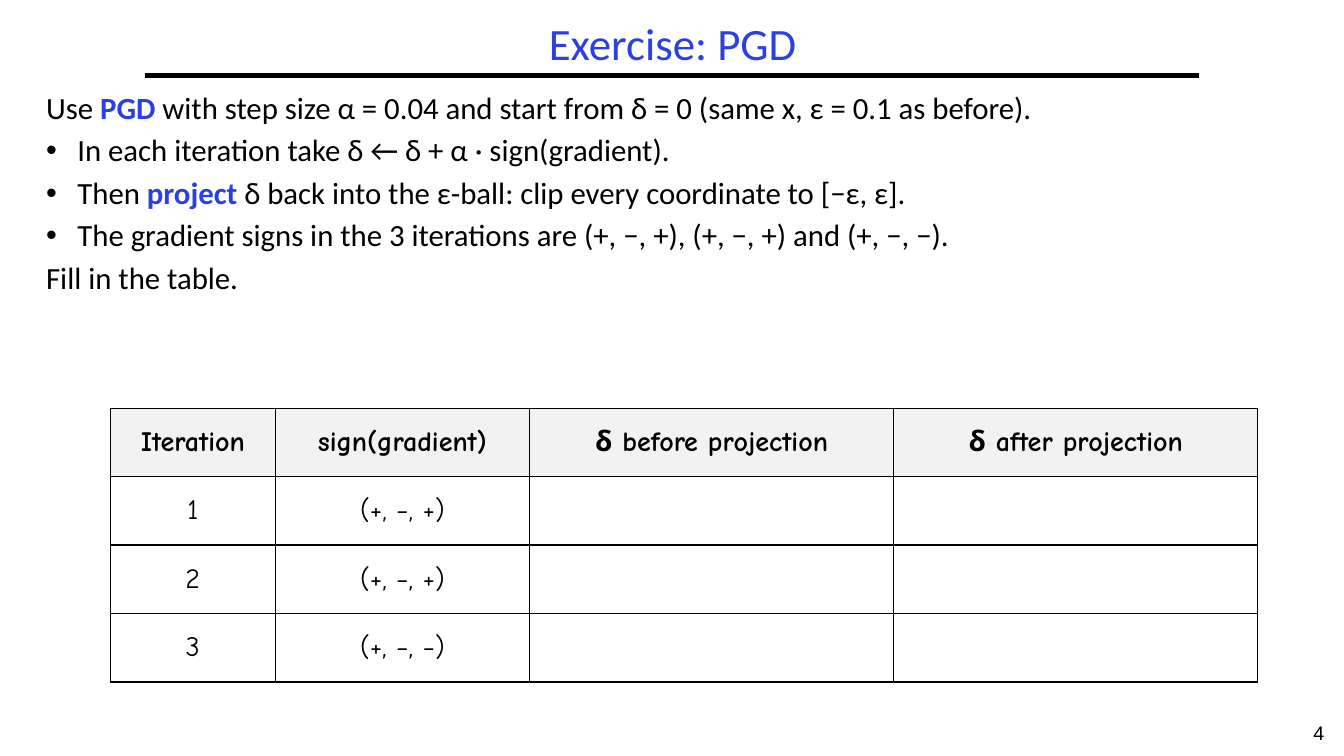
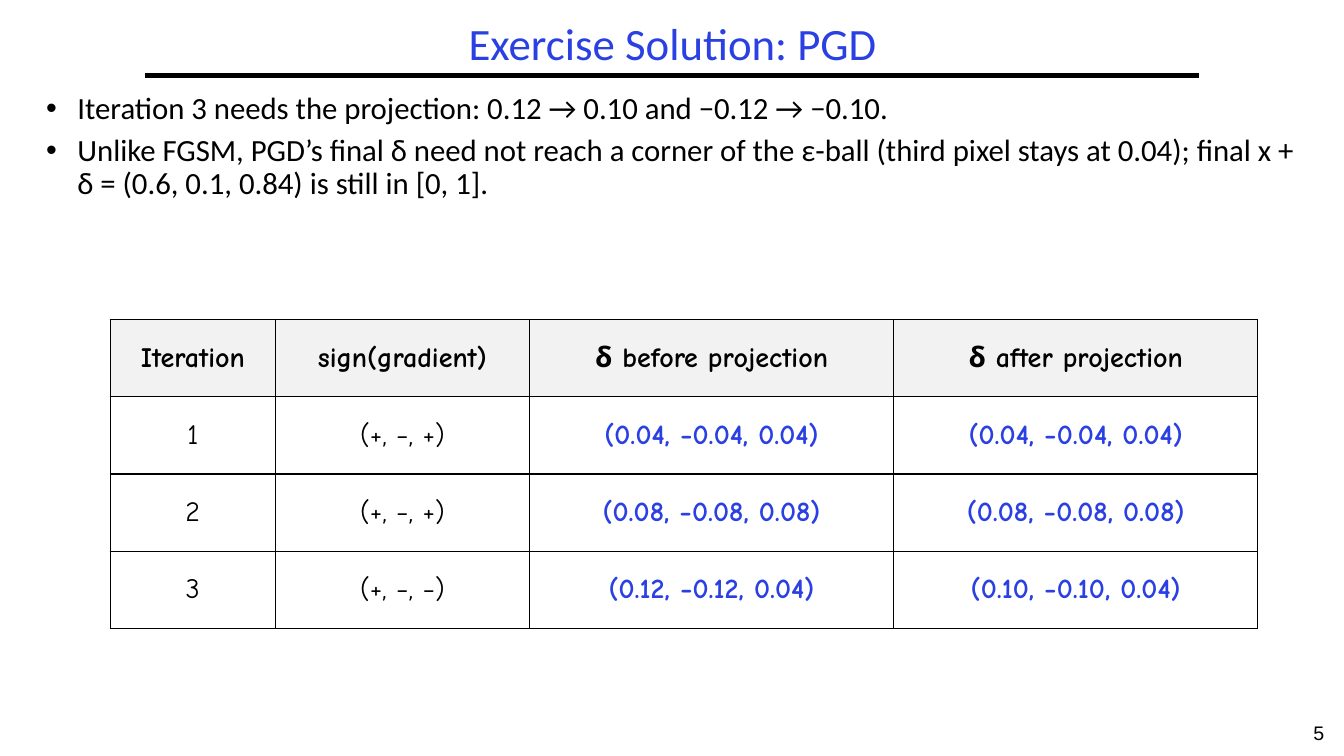
from lxml import etree
from pptx import Presentation
from pptx.dml.color import RGBColor
from pptx.enum.shapes import MSO_CONNECTOR
from pptx.enum.text import MSO_ANCHOR, PP_ALIGN
from pptx.oxml.ns import qn
from pptx.util import Inches, Pt

COLORS = {"ink": "000000", "accent": "2A40E2", "header": "F2F2F2", "paper": "FFFFFF"}
TEXT_FONT, TABLE_FONT, NUMBER_FONT = "Calibri", "Comic Neue", "Arial"
CENTER, LEFT = PP_ALIGN.CENTER, PP_ALIGN.LEFT
TOP, MIDDLE = MSO_ANCHOR.TOP, MSO_ANCHOR.MIDDLE
STRAIGHT = MSO_CONNECTOR.STRAIGHT

# The slide is a grid of 100 columns by 100 rows.
WIDTH, HEIGHT = Inches(13.33), Inches(7.5)
RULE_LEFT, RULE_RIGHT, RULE_ROW = 10.8, 89.2, 10
TABLE_LEFT = 8.2
TABLE_COLUMNS = (12.3, 18.9, 27.1, 27.1)
BULLET_INDENT = Inches(0.31)

HEADINGS = ("Iteration", "sign(gradient)", "δ before projection", "δ after projection")
SIGNS = ("(+, −, +)", "(+, −, +)", "(+, −, −)")
ANSWERS = (
    ("(0.04, −0.04, 0.04)", "(0.04, −0.04, 0.04)"),
    ("(0.08, −0.08, 0.08)", "(0.08, −0.08, 0.08)"),
    ("(0.12, −0.12, 0.04)", "(0.10, −0.10, 0.04)"),
)
BLANKS = (("", ""),) * len(SIGNS)


def across(columns):
    return round(WIDTH * columns / 100)


def down(rows):
    return round(HEIGHT * rows / 100)


def color(name):
    return RGBColor.from_string(COLORS[name])


def write(para, text, size, font=TEXT_FONT, ink="ink", bold=False, align=LEFT):
    """Fill a paragraph; parts between asterisks become bold accents."""
    para.alignment = align
    para.font.size = Pt(size)
    for index, part in enumerate(text.split("*")):
        if not part:
            continue
        marked = index % 2 == 1
        span = para.add_run()
        span.text = part
        span.font.size = Pt(size)
        span.font.name = font
        span.font.bold = bold or marked
        span.font.color.rgb = color("accent" if marked else ink)


def add_bullet(para):
    properties = para._p.get_or_add_pPr()
    properties.set("marL", str(BULLET_INDENT))
    properties.set("indent", str(-BULLET_INDENT))
    etree.SubElement(properties, qn("a:buFont"), typeface="Arial")
    etree.SubElement(properties, qn("a:buChar"), char="•")


def add_text(page, lines, left, top, width, height, anchor=TOP,
             spacing=0.9, **style):
    """Add a text box; lines that start with a bullet sign become list items."""
    box = page.shapes.add_textbox(across(left), down(top), across(width), down(height))
    frame = box.text_frame
    frame.word_wrap = True
    frame.vertical_anchor = anchor
    for index, line in enumerate(lines):
        para = frame.add_paragraph() if index else frame.paragraphs[0]
        if line.startswith("• "):
            add_bullet(para)
        para.line_spacing = spacing
        if index:
            para.space_before = Pt(0.3 * style["size"])
        write(para, line.removeprefix("• "), **style)


def add_rule(page):
    rule = page.shapes.add_connector(
        STRAIGHT, across(RULE_LEFT), down(RULE_ROW), across(RULE_RIGHT), down(RULE_ROW))
    rule.line.color.rgb = color("ink")
    rule.line.width = Pt(3)
    etree.SubElement(rule._element.spPr, qn("a:effectLst"))


def add_borders(cell):
    properties = cell._tc.get_or_add_tcPr()
    for side in ("lnL", "lnR", "lnT", "lnB"):
        border = etree.SubElement(properties, qn(f"a:{side}"), w=str(Pt(1)))
        fill = etree.SubElement(border, qn("a:solidFill"))
        etree.SubElement(fill, qn("a:srgbClr"), val=COLORS["ink"])


def format_cell(cell, text, fill, **style):
    add_borders(cell)
    cell.fill.solid()
    cell.fill.fore_color.rgb = color(fill)
    cell.vertical_anchor = MIDDLE
    cell.margin_left = cell.margin_right = Inches(0.07)
    cell.margin_top = cell.margin_bottom = Inches(0.03)
    write(cell.text_frame.paragraphs[0], text, 20, TABLE_FONT, align=CENTER, **style)


def add_iterations(page, answers, top, row_height):
    """Add the table of iterations with the given answers in its last columns."""
    body = [(str(number), signs, *answer)
            for number, (signs, answer) in enumerate(zip(SIGNS, answers), 1)]
    rows = [HEADINGS, *body]
    table = page.shapes.add_table(
        len(rows), len(HEADINGS), across(TABLE_LEFT), down(top),
        across(sum(TABLE_COLUMNS)), down(row_height * len(rows))).table
    table.first_row = table.horz_banding = False
    for column, width in zip(table.columns, TABLE_COLUMNS):
        column.width = across(width)
    for row_index, texts in enumerate(rows):
        table.rows[row_index].height = down(row_height)
        for column_index, text in enumerate(texts):
            heading, answer = row_index == 0, row_index > 0 and column_index > 1
            format_cell(table.cell(row_index, column_index), text,
                        fill="header" if heading else "paper",
                        ink="accent" if answer else "ink",
                        bold=heading or answer)


def add_page(deck, number, title, lines, body_height):
    page = deck.slides.add_slide(deck.slide_layouts[6])
    add_rule(page)
    add_text(page, [str(number)], 96.25, 94.67, 3.75, 5.33, spacing=1,
             size=14, font=NUMBER_FONT, align=CENTER)
    add_text(page, [title], RULE_LEFT, 2.27, 78.5, 7.73, anchor=MIDDLE,
             size=32, ink="accent", align=CENTER)
    add_text(page, lines, 2.7, 11.6, 94.4, body_height, size=22)
    return page


def main():
    deck = Presentation()
    deck.slide_width, deck.slide_height = WIDTH, HEIGHT

    exercise = add_page(deck, 4, "Exercise: PGD", [
        "Use *PGD* with step size α = 0.04 and start from δ = 0 (same x, ε = 0.1 as before).",
        "• In each iteration take δ ← δ + α · sign(gradient).",
        "• Then *project* δ back into the ε-ball: clip every coordinate to [−ε, ε].",
        "• The gradient signs in the 3 iterations are (+, −, +), (+, −, +) and (+, −, −).",
        "Fill in the table.",
    ], body_height=43.7)
    add_iterations(exercise, BLANKS, top=54, row_height=9.05)

    solution = add_page(deck, 5, "Exercise Solution: PGD", [
        "• Iteration 3 needs the projection: 0.12 → 0.10 and −0.12 → −0.10.",
        "• Unlike FGSM, PGD’s final δ need not reach a corner of the ε-ball "
        "(third pixel stays at 0.04); final x + δ = (0.6, 0.1, 0.84) is still in [0, 1].",
    ], body_height=26.3)
    add_iterations(solution, ANSWERS, top=42.3, row_height=10.2)

    deck.save("out.pptx")


if __name__ == "__main__":
    main()
